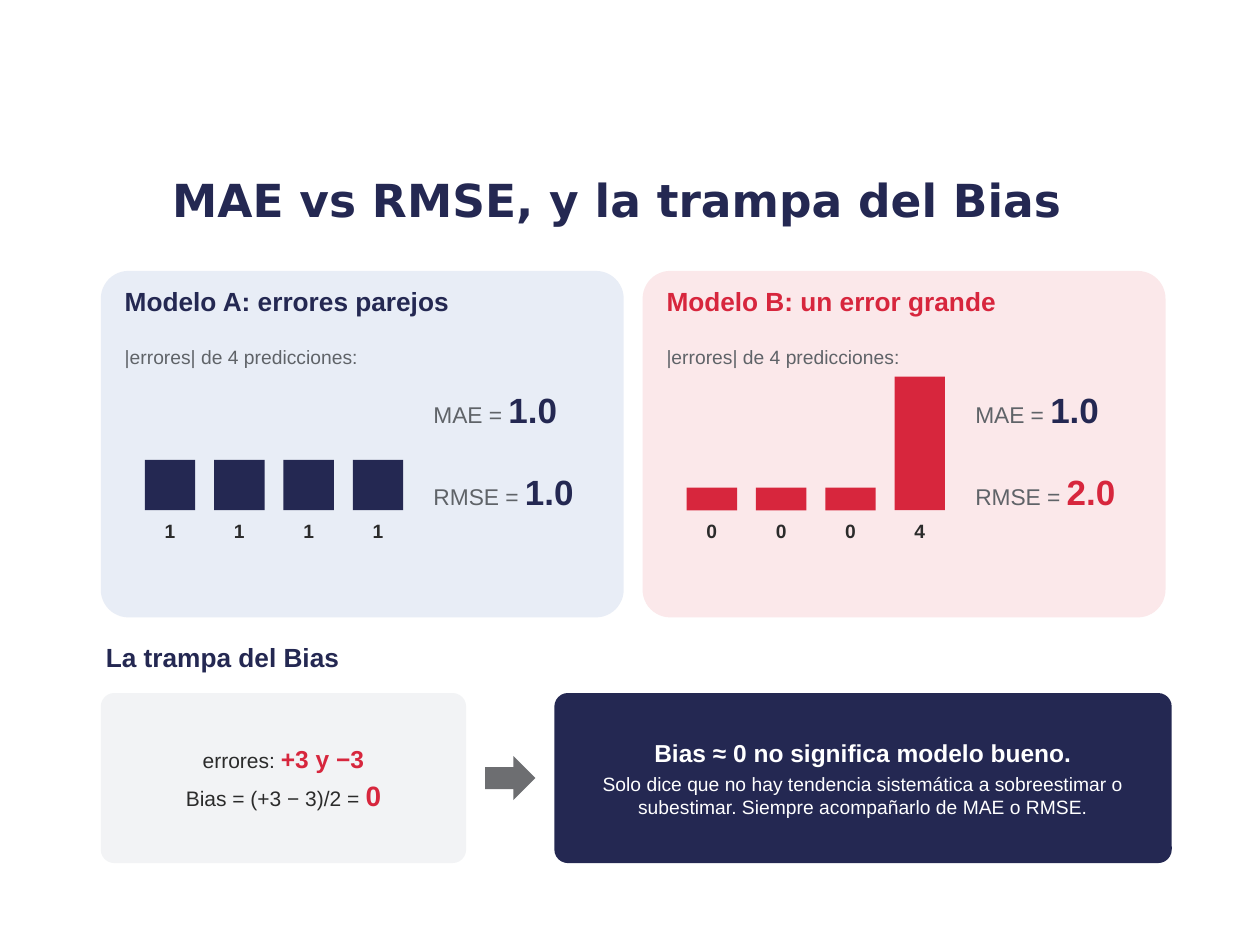
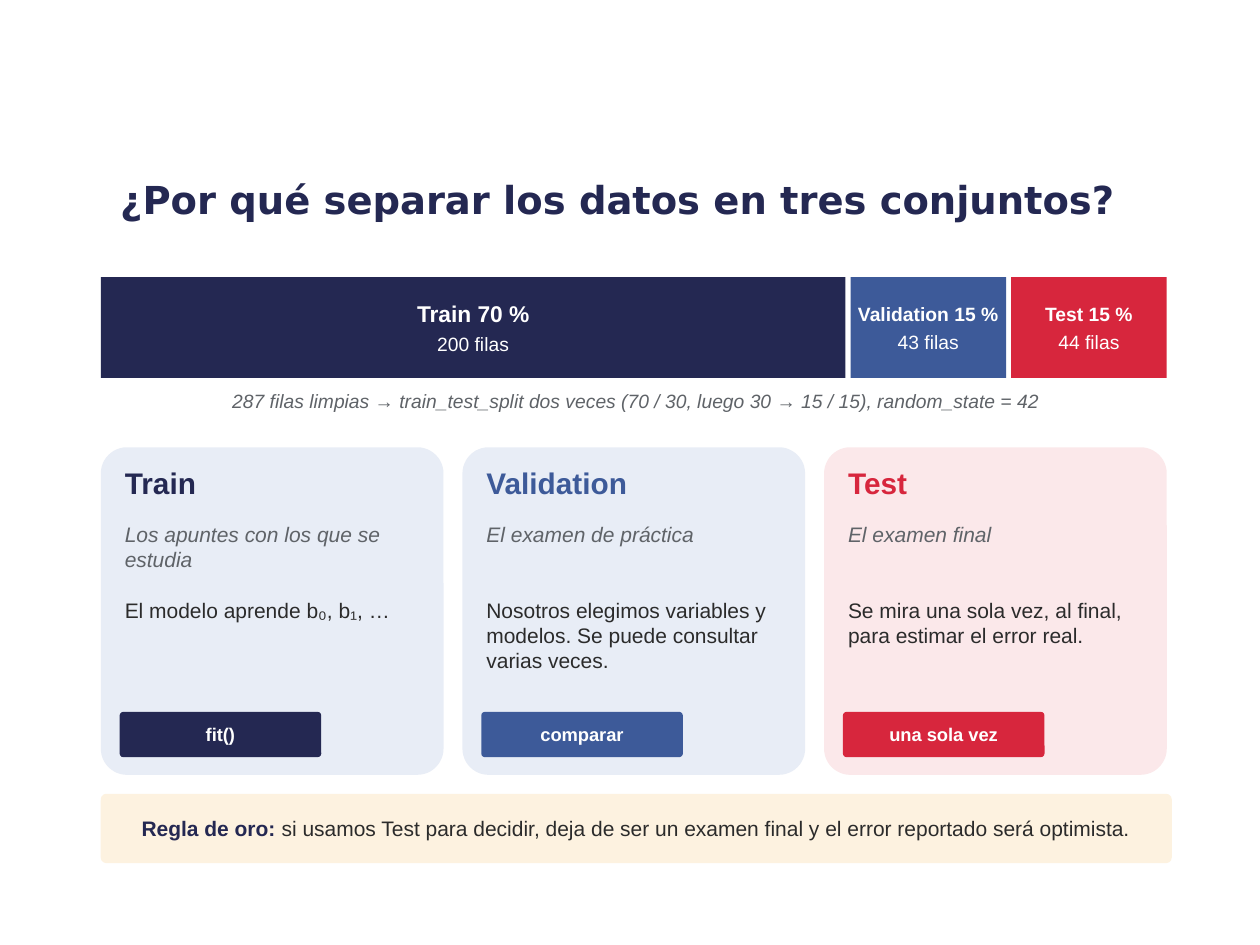
from pptx import Presentation
from pptx import util as u
from pptx.dml.color import RGBColor
from pptx.enum import shapes, text

COLORS = {
    "navy": "242852", "blue": "3D5A99", "red": "D7263D",
    "pale_blue": "E8EDF6", "pale_red": "FBE8EA", "pale_gray": "F2F3F5", "cream": "FDF2E0",
    "ink": "2B2B2B", "gray": "5F6368", "arrow": "6D6E71", "white": "FFFFFF",
}
RECTANGLE = shapes.MSO_SHAPE.RECTANGLE
ROUNDED = shapes.MSO_SHAPE.ROUNDED_RECTANGLE
ARROW = shapes.MSO_SHAPE.RIGHT_ARROW
LEFT_EDGE = 57.6
CONTENT_WIDTH = 612


def add_shape(slide, geometry, left, top, width, height, fill):
    shape = slide.shapes.add_shape(geometry, u.Pt(left), u.Pt(top), u.Pt(width), u.Pt(height))
    shape.shadow.inherit = False
    shape.fill.solid()
    shape.fill.fore_color.rgb = RGBColor.from_string(COLORS[fill])
    shape.line.fill.background()
    if geometry == ROUNDED:
        shape.adjustments[0] = 0.08
    return shape


def add_text(slide, lines, box=None, shape=None, size=12, color="ink", font="Arial", bold=False,
             italic=False, centered=False, middle=False, inset=2.88, space_after=4):
    if shape is None:
        shape = slide.shapes.add_textbox(*[u.Pt(length) for length in box])
    frame = shape.text_frame
    frame.word_wrap = True
    frame.margin_left = frame.margin_right = frame.margin_top = frame.margin_bottom = u.Pt(inset)
    frame.vertical_anchor = text.MSO_ANCHOR.MIDDLE if middle else text.MSO_ANCHOR.TOP
    if isinstance(lines, str):
        lines = [[(lines, {})]]
    for index, runs in enumerate(lines):
        paragraph = frame.paragraphs[0] if index == 0 else frame.add_paragraph()
        paragraph.alignment = text.PP_ALIGN.CENTER if centered else text.PP_ALIGN.LEFT
        paragraph.space_after = u.Pt(space_after)
        for words, changes in runs:
            run = paragraph.add_run()
            run.text = words
            run.font.name = font
            run.font.size = u.Pt(changes.get("size", size))
            run.font.bold = changes.get("bold", bold)
            run.font.italic = italic
            run.font.color.rgb = RGBColor.from_string(COLORS[changes.get("color", color)])


presentation = Presentation()
presentation.slide_width = u.Pt(720)
presentation.slide_height = u.Pt(540)
label_format = {"centered": True, "middle": True, "inset": 5.76, "space_after": 3}

slides = []
for title, size in [("MAE vs RMSE, y la trampa del Bias", 26),
                    ("¿Por qué separar los datos en tres conjuntos?", 22)]:
    slide = presentation.slides.add_slide(presentation.slide_layouts[6])
    add_text(slide, title, box=(54, 84.96, 597.6, 57.6), size=size, color="navy",
             font="DejaVu Sans", bold=True, centered=True, middle=True, inset=3.6, space_after=0)
    slides.append(slide)
metrics_slide, split_slide = slides

models = [
    ("Modelo A: errores parejos", "navy", "pale_blue", [(1, 28.8)] * 4, "1.0"),
    ("Modelo B: un error grande", "red", "pale_red", [(0, 12.96)] * 3 + [(4, 76.32)], "2.0"),
]
baseline = 291.6
for index, (heading, color, background, errors, rmse) in enumerate(models):
    left = LEFT_EDGE + 309.6 * index
    add_shape(metrics_slide, ROUNDED, left, 154.8, 298.8, 198, background)
    add_text(metrics_slide, heading, box=(left + 10.8, 159.84, 280.8, 32.4),
             size=15, color=color, bold=True)
    add_text(metrics_slide, "|errores| de 4 predicciones:",
             box=(left + 10.8, 194.4, 280.8, 25.2), size=11, color="gray")
    for position, (error, height) in enumerate(errors):
        bar_left = left + 25.2 + 39.6 * position
        add_shape(metrics_slide, RECTANGLE, bar_left, baseline - height, 28.8, height, color)
        add_text(metrics_slide, str(error), box=(bar_left, baseline + 2.16, 28.8, 21.6),
                 size=11, bold=True, centered=True)
    for metric, value, value_color, top in [("MAE = ", "1.0", "navy", 212.4),
                                            ("RMSE = ", rmse, color, 259.2)]:
        add_text(metrics_slide,
                 [[(metric, {}), (value, {"size": 20, "color": value_color, "bold": True})]],
                 box=(left + 187.2, top, 104.4, 43.2), size=13, color="gray", middle=True)

add_text(metrics_slide, "La trampa del Bias", box=(LEFT_EDGE, 363.6, CONTENT_WIDTH, 28.8),
         size=15, color="navy", bold=True)
example = add_shape(metrics_slide, ROUNDED, LEFT_EDGE, 396, 208.8, 97.2, "pale_gray")
add_text(metrics_slide, [
    [("errores: ", {}), ("+3 y −3", {"size": 14, "color": "red", "bold": True})],
    [("Bias = (+3 − 3)/2 = ", {}), ("0", {"size": 16, "color": "red", "bold": True})],
], shape=example, **label_format)
add_shape(metrics_slide, ARROW, 277.2, 432, 28.8, 25.2, "arrow")
conclusion = add_shape(metrics_slide, ROUNDED, 316.8, 396, 352.8, 97.2, "navy")
add_text(metrics_slide, [
    [("Bias ≈ 0 no significa modelo bueno.", {"size": 14, "bold": True})],
    [("Solo dice que no hay tendencia sistemática a sobreestimar o subestimar. "
      "Siempre acompañarlo de MAE o RMSE.", {})],
], shape=conclusion, size=11, color="white", **label_format)

segment_left = LEFT_EDGE
for name, percent, rows, color, size in [("Train", 70, 200, "navy", 13),
                                         ("Validation", 15, 43, "blue", 11),
                                         ("Test", 15, 44, "red", 11)]:
    pitch = CONTENT_WIDTH * percent / 100
    segment = add_shape(split_slide, RECTANGLE, segment_left, 158.4, pitch - 2.88, 57.6, color)
    add_text(split_slide, [
        [(f"{name} {percent} %", {"size": size, "bold": True})],
        [(f"{rows} filas", {})],
    ], shape=segment, size=11, color="white", centered=True, middle=True, inset=1.44, space_after=3)
    segment_left += pitch

add_text(split_slide,
         "287 filas limpias → train_test_split dos veces (70 / 30, luego 30 → 15 / 15), random_state = 42",
         box=(LEFT_EDGE, 219.6, CONTENT_WIDTH, 25.2), size=11, color="gray",
         italic=True, centered=True)

cards = [
    ("Train", "Los apuntes con los que se estudia", "El modelo aprende b₀, b₁, …",
     "fit()", "navy", "pale_blue"),
    ("Validation", "El examen de práctica",
     "Nosotros elegimos variables y modelos. Se puede consultar varias veces.",
     "comparar", "blue", "pale_blue"),
    ("Test", "El examen final", "Se mira una sola vez, al final, para estimar el error real.",
     "una sola vez", "red", "pale_red"),
]
for index, (name, analogy, purpose, action, color, background) in enumerate(cards):
    left = LEFT_EDGE + 206.64 * index
    inner_left = left + 10.8
    add_shape(split_slide, ROUNDED, left, 255.6, 195.84, 187.2, background)
    add_text(split_slide, name, box=(inner_left, 262.8, 176.4, 32.4),
             size=17, color=color, bold=True)
    add_text(split_slide, analogy, box=(inner_left, 295.2, 176.4, 43.2), color="gray", italic=True)
    add_text(split_slide, purpose, box=(inner_left, 338.4, 176.4, 68.4))
    button = add_shape(split_slide, ROUNDED, inner_left, 406.8, 115.2, 25.92, color)
    add_text(split_slide, action, shape=button, size=10.5, color="white", bold=True, **label_format)

rule = add_shape(split_slide, ROUNDED, LEFT_EDGE, 453.6, CONTENT_WIDTH, 39.6, "cream")
add_text(split_slide, [[
    ("Regla de oro: ", {"color": "navy", "bold": True}),
    ("si usamos Test para decidir, deja de ser un examen final y el error reportado será optimista.", {}),
]], shape=rule, **label_format)

presentation.save("out.pptx")
